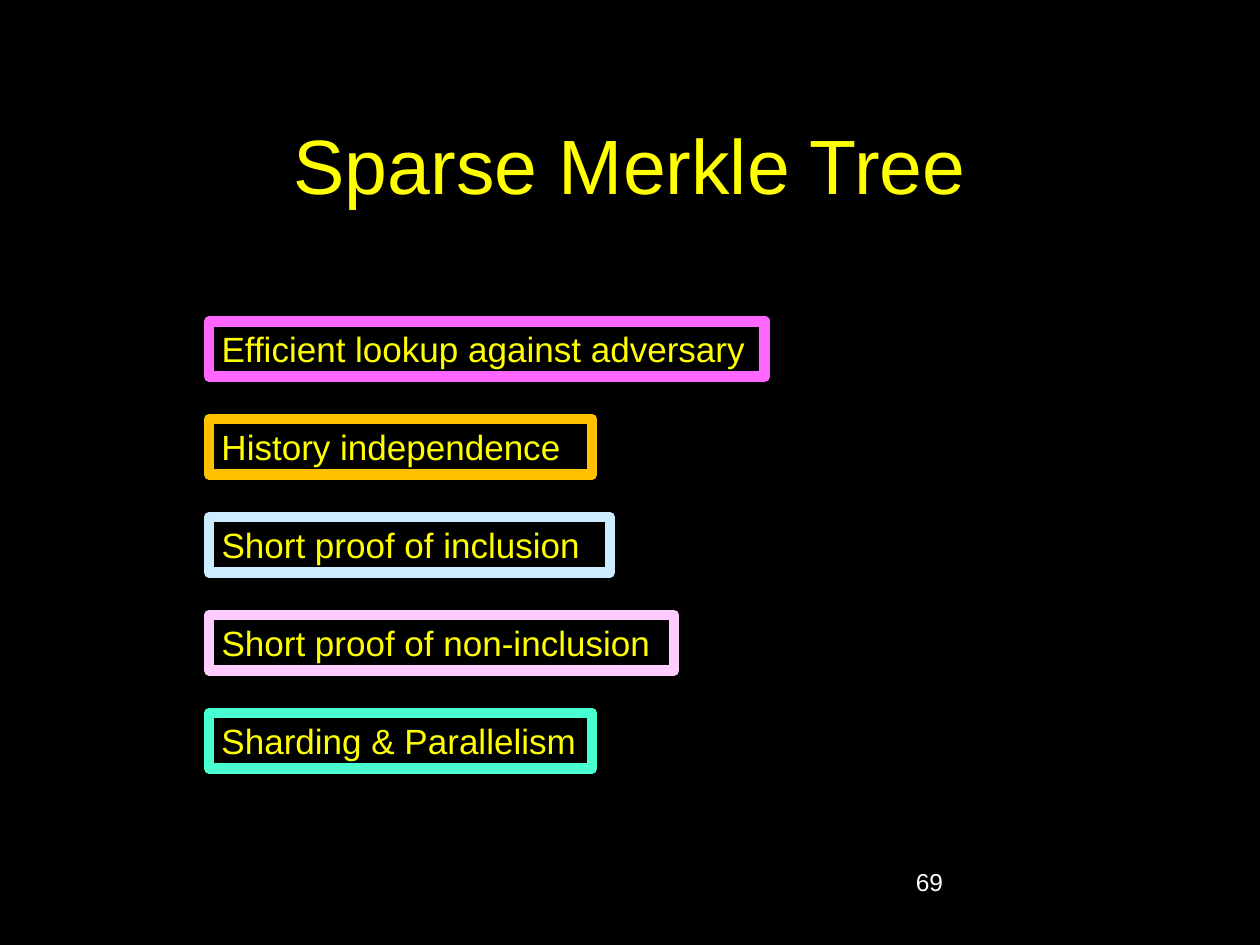
from dataclasses import dataclass

from pptx import Presentation
from pptx.dml.color import RGBColor as RGB
from pptx.enum.shapes import MSO_SHAPE as Shape
from pptx.enum.text import MSO_ANCHOR as Anchor, PP_ALIGN as Align
from pptx.util import Inches, Pt


@dataclass(frozen=True)
class Theme:
    font: str = "Arial"
    back: RGB = RGB(0, 0, 0)
    main: RGB = RGB(0xFF, 0xFF, 0)
    note: RGB = RGB(0xFF, 0xFF, 0xFF)
    title: Pt = Pt(44)
    body: Pt = Pt(20)
    small: Pt = Pt(14)
    border: Pt = Pt(6)


THEME = Theme()

# Text, box width in inches, border colour
TRAITS = [
    ("Efficient lookup against adversary", 4.41, "FF66FF"),
    ("History independence", 3.04, "FFC000"),
    ("Short proof of inclusion", 3.18, "CCECFF"),
    ("Short proof of non-inclusion", 3.69, "FFCCFF"),
    ("Sharding & Parallelism", 3.04, "47FFD1"),
]


def write(shape, text, size, color, align=Align.LEFT, anchor=Anchor.TOP):
    frame = shape.text_frame
    frame.word_wrap = True
    frame.vertical_anchor = anchor
    line = frame.paragraphs[0]
    line.text = text
    line.alignment = align
    line.font.name = THEME.font
    line.font.size = size
    line.font.color.rgb = color


def add_title(slide, text, box):
    write(slide.shapes.add_textbox(*box), text, THEME.title, THEME.main,
          Align.CENTER, Anchor.MIDDLE)


def add_number(slide, text, box):
    write(slide.shapes.add_textbox(*box), text, THEME.small, THEME.note)


def add_traits(slide, traits, box):
    """Stack framed labels evenly from the top to the bottom of the box."""
    left, top, _, height = box
    tall = Inches(0.44)
    step = (height - tall) // (len(traits) - 1)
    for row, (text, width, color) in enumerate(traits):
        label = slide.shapes.add_shape(
            Shape.RECTANGLE, left, top + row * step, Inches(width), tall)
        label.shadow.inherit = False
        label.fill.solid()
        label.fill.fore_color.rgb = THEME.back
        label.line.color.rgb = RGB.from_string(color)
        label.line.width = THEME.border
        write(label, text, THEME.body, THEME.main)


def area(*sides):
    return [Inches(side) for side in sides]


def main():
    deck = Presentation()
    deck.slide_width, deck.slide_height = area(10, 7.5)
    slide = deck.slides.add_slide(deck.slide_layouts[6])
    slide.background.fill.solid()
    slide.background.fill.fore_color.rgb = THEME.back
    add_title(slide, "Sparse Merkle Tree", area(0.75, 0.67, 8.5, 1.25))
    add_number(slide, "69", area(7.17, 6.83, 2.08, 0.5))
    add_traits(slide, TRAITS, area(1.66, 2.55, 4.41, 3.55))
    deck.save("out.pptx")


if __name__ == "__main__":
    main()
